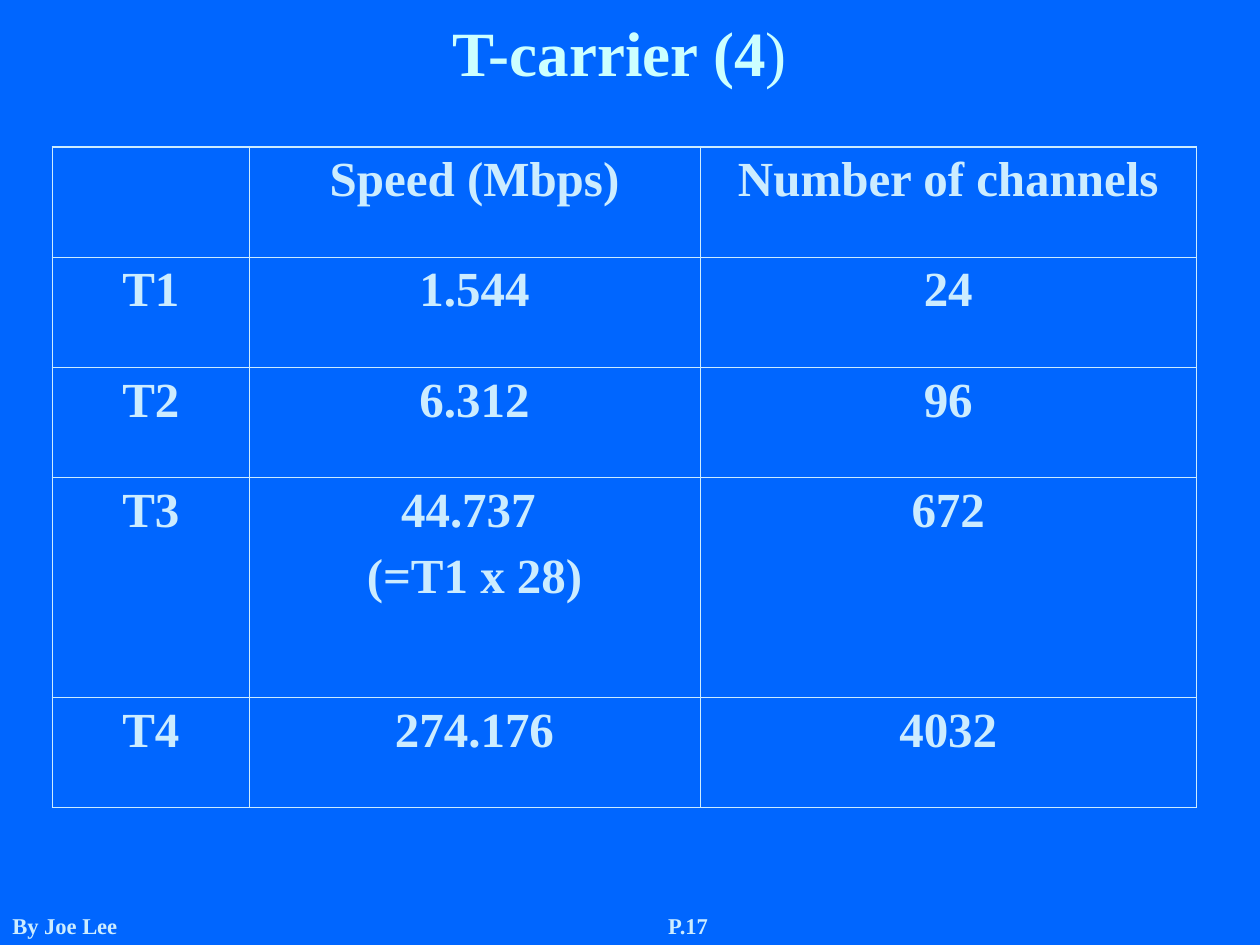
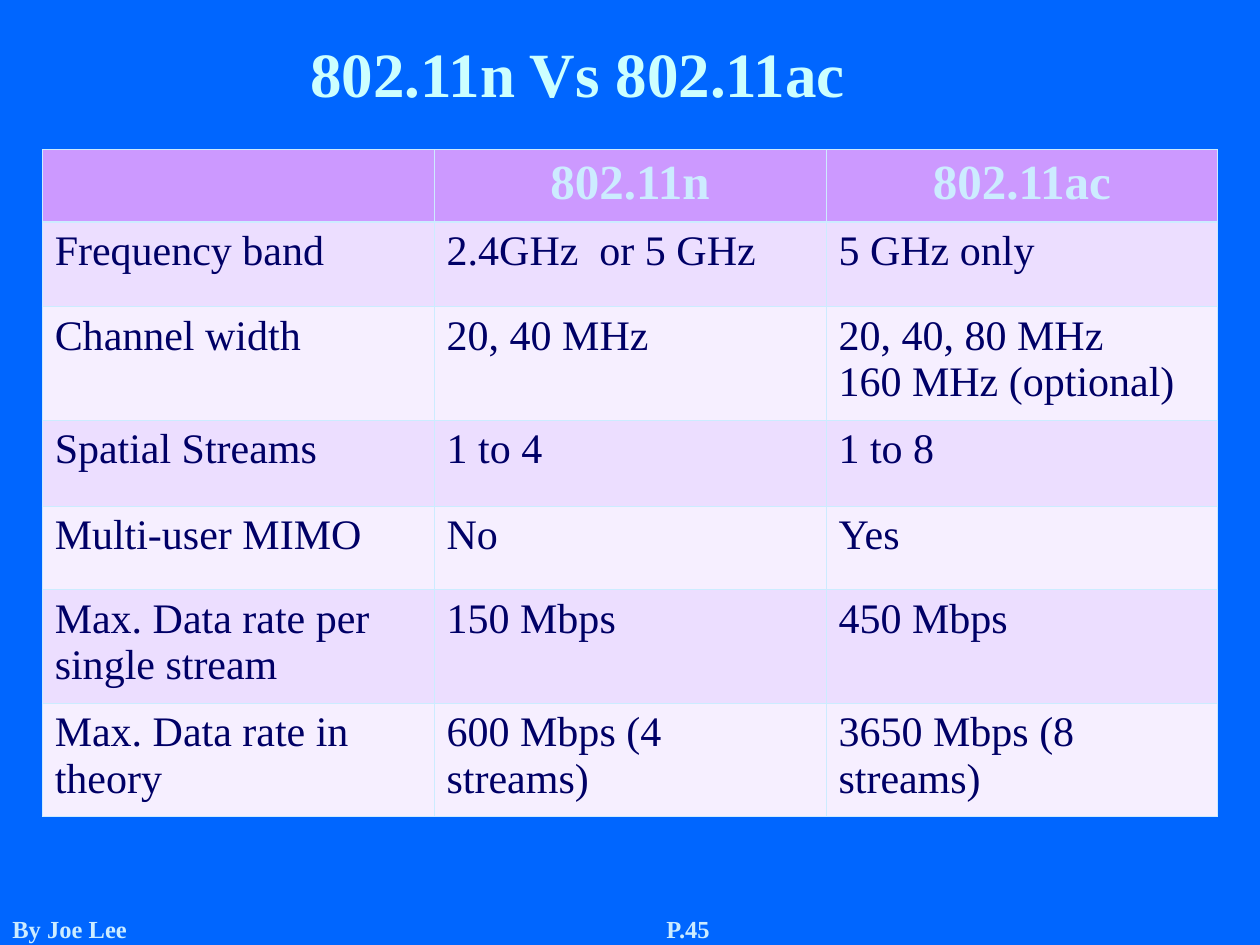
import lxml.etree
import pptx
import pptx.dml.color
import pptx.enum.text
import pptx.oxml.ns
import pptx.util

Cm = pptx.util.Cm
Pt = pptx.util.Pt
RGBColor = pptx.dml.color.RGBColor
ALIGN = pptx.enum.text.PP_ALIGN

FONT = "Times New Roman"
BLUE = RGBColor(0x00, 0x66, 0xFF)
TITLE_CYAN = RGBColor(0xCC, 0xFF, 0xFF)
PALE_BLUE = RGBColor(0xCC, 0xEC, 0xFF)
NAVY = RGBColor(0x00, 0x00, 0x66)
VIOLET = RGBColor(0xCC, 0x99, 0xFF)
BANDS = (RGBColor(0xEC, 0xDE, 0xFF), RGBColor(0xF6, 0xEF, 0xFF))
THIN = 0.45

CARRIERS = [
    ("", "Speed (Mbps)", "Number of channels"),
    ("T1", "1.544", "24"),
    ("T2", "6.312", "96"),
    ("T3", "44.737 \n(=T1 x 28)", "672"),
    ("T4", "274.176", "4032"),
]
STANDARDS = [
    ("", "802.11n", "802.11ac"),
    ("Frequency band", "2.4GHz  or 5 GHz", "5 GHz only"),
    ("Channel width", "20, 40 MHz", "20, 40, 80 MHz\n160 MHz (optional)"),
    ("Spatial Streams", "1 to 4", "1 to 8"),
    ("Multi-user MIMO", "No", "Yes"),
    ("Max. Data rate per single stream", "150 Mbps", "450 Mbps"),
    ("Max. Data rate in theory", "600 Mbps (4 streams)", "3650 Mbps (8 streams)"),
]


def write_text(frame, text, *, size, color=PALE_BLUE, bold=True,
               align=ALIGN.CENTER, before=0, light_tail=""):
    for index, line in enumerate(text.split("\n")):
        paragraph = frame.add_paragraph() if index else frame.paragraphs[0]
        paragraph.alignment = align
        paragraph.space_before = Pt(before)
        parts = [(line, bold)]
        if light_tail:
            parts.append((light_tail, False))
        for words, weight in parts:
            run = paragraph.add_run()
            run.text = words
            run.font.name = FONT
            run.font.size = Pt(size)
            run.font.bold = weight
            run.font.color.rgb = color


def add_title(slide, text, left, top, height, light_tail=""):
    title = slide.shapes.title
    title.left, title.top = Cm(left), Cm(top)
    title.width, title.height = Cm(21.59), Cm(height)
    frame = title.text_frame
    frame.auto_size = pptx.enum.text.MSO_AUTO_SIZE.NONE
    frame.vertical_anchor = pptx.enum.text.MSO_ANCHOR.TOP
    frame.margin_top = Cm(0.28)
    write_text(frame, text, size=36, color=TITLE_CYAN, light_tail=light_tail)


def add_footer(slide, page, size):
    for text, left, width, align in (
        ("By Joe Lee", 0, 8.05, ALIGN.LEFT),
        (page, 11.23, 5.28, ALIGN.CENTER),
    ):
        footer = slide.shapes.add_textbox(Cm(left), Cm(17.35), Cm(width), Cm(1.7))
        frame = footer.text_frame
        frame.word_wrap = True
        frame.margin_top = Pt(1.15 * size + 14.4)
        write_text(frame, text, size=size, align=align)


def draw_borders(cell, widths):
    properties = cell._tc.get_or_add_tcPr()
    for side, width in zip("LRTB", widths):
        line = lxml.etree.SubElement(
            properties, pptx.oxml.ns.qn(f"a:ln{side}"), w=str(Pt(width)))
        fill = lxml.etree.SubElement(line, pptx.oxml.ns.qn("a:solidFill"))
        lxml.etree.SubElement(
            fill, pptx.oxml.ns.qn("a:srgbClr"), val=str(PALE_BLUE))


def add_grid(slide, rows, left, top, widths, heights, *, outer=THIN,
             header_rule=THIN, header, body, fills=None):
    grid = slide.shapes.add_table(
        len(rows), len(widths), Cm(left), Cm(top),
        Cm(sum(widths)), Cm(sum(heights))).table
    grid.first_row = grid.horz_banding = False
    for column, width in zip(grid.columns, widths):
        column.width = Cm(width)
    for row, height in zip(grid.rows, heights):
        row.height = Cm(height)
    rules = [outer, header_rule] + [THIN] * (len(rows) - 2) + [outer]
    edges = [outer] + [THIN] * (len(widths) - 1) + [outer]
    for r, texts in enumerate(rows):
        for c, text in enumerate(texts):
            cell = grid.cell(r, c)
            draw_borders(cell, (edges[c], edges[c + 1], rules[r], rules[r + 1]))
            if fills:
                cell.fill.solid()
                cell.fill.fore_color.rgb = fills[r]
            else:
                cell.fill.background()
            if text:
                write_text(cell.text_frame, text, **(body if r else header))


def add_carrier_slide(deck):
    slide = deck.slides.add_slide(deck.slide_layouts[5])
    add_title(slide, "T-carrier (4", 1.7, 0, 1.7, light_tail=")")
    style = dict(size=28, before=7)
    add_grid(slide, CARRIERS, 1.06, 2.96, (3.96, 9.09, 10.01),
             (2.22, 2.22, 2.22, 4.44, 2.22),
             outer=1.08, header=style, body=style)
    add_footer(slide, "P.17", 12.9)


def add_standards_slide(deck):
    slide = deck.slides.add_slide(deck.slide_layouts[5])
    add_title(slide, "802.11n Vs 802.11ac", 0.85, 0.42, 2.54)
    add_grid(slide, STANDARDS, 0.85, 3.02, (7.9,) * 3,
             (1.46, 1.7, 2.29, 1.73, 1.68, 2.29, 2.29),
             header_rule=1.47, header=dict(size=28),
             body=dict(size=24, color=NAVY, bold=False, align=ALIGN.LEFT),
             fills=(VIOLET,) + BANDS * 3)
    add_footer(slide, "P.45", 14)


def main():
    deck = pptx.Presentation()
    deck.slide_width, deck.slide_height = Cm(25.4), Cm(19.05)
    background = deck.slide_master.background.fill
    background.solid()
    background.fore_color.rgb = BLUE
    add_carrier_slide(deck)
    add_standards_slide(deck)
    deck.save("out.pptx")


if __name__ == "__main__":
    main()
